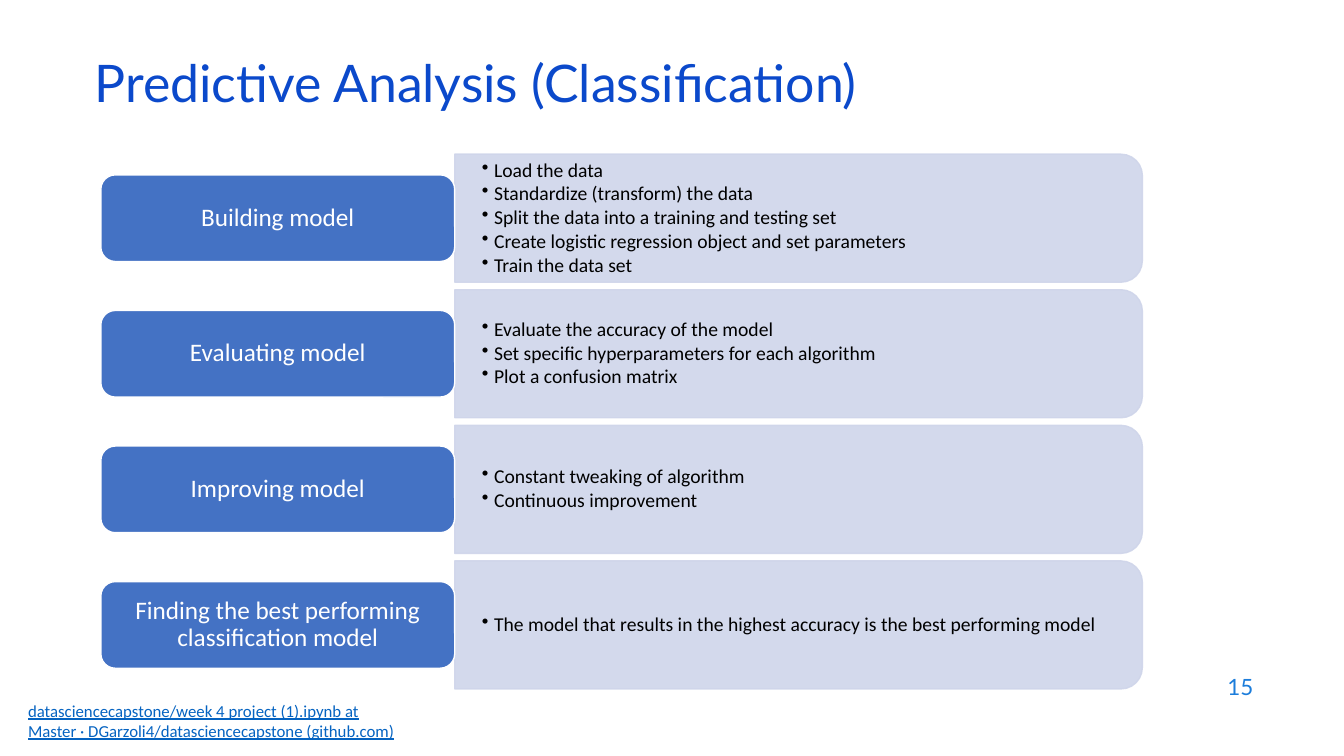
from lxml.etree import SubElement
from pptx import Presentation
from pptx.dml.color import RGBColor
from pptx.enum.shapes import MSO_SHAPE as Shape
from pptx.enum.text import MSO_ANCHOR as Anchor, MSO_AUTO_SIZE as AutoSize, PP_ALIGN as Align
from pptx.oxml.ns import qn
from pptx.util import Inches, Pt

TITLE = "Predictive Analysis (Classification)"
STAGES = [
    ("Building model", [
        "Load the data",
        "Standardize (transform) the data",
        "Split the data into a training and testing set",
        "Create logistic regression object and set parameters",
        "Train the data set",
    ]),
    ("Evaluating model", [
        "Evaluate the accuracy of the model",
        "Set specific hyperparameters for each algorithm",
        "Plot a confusion matrix",
    ]),
    ("Improving model", [
        "Constant tweaking of algorithm",
        "Continuous improvement",
    ]),
    ("Finding the best performing classification model", [
        "The model that results in the highest accuracy is the best performing model",
    ]),
]
SOURCE = ("datasciencecapstone/week 4 project (1).ipynb at Master · "
          "DGarzoli4/datasciencecapstone (github.com)")
PAGE = "15"

BLUE, PALE, WHITE, BLACK = "4472C4", "CFD5EA", "FFFFFF", "000000"
TITLE_BLUE, PAGE_BLUE, LINK_BLUE = "0B49CB", "1C7DDB", "0563C1"

LEFT, TOP = 1.0, 1.53
LABEL_W, LABEL_H = 3.51, 0.86
PANEL_W, PANEL_H = 6.82, 1.27
ROW_PITCH = 1.345
PANEL_LEFT = LEFT + LABEL_W
BULLET_INDENT = 0.12


def color(hex_code):
    return RGBColor.from_string(hex_code)


def place(shape, left, top, width, height):
    shape.left, shape.top, shape.width, shape.height = map(Inches, (left, top, width, height))


def set_frame(frame, anchor, inset_x=0.1, inset_y=0.05):
    frame.word_wrap = True
    frame.auto_size = AutoSize.NONE
    frame.vertical_anchor = anchor
    frame.margin_left = frame.margin_right = Inches(inset_x)
    frame.margin_top = frame.margin_bottom = Inches(inset_y)


def style(paragraph, size, font_name, hex_code, align=Align.LEFT, spacing=1.0):
    paragraph.alignment = align
    paragraph.line_spacing = spacing
    font = paragraph.font
    font.size, font.name = Pt(size), font_name
    font.color.rgb = color(hex_code)


def add_bullet(paragraph):
    props = paragraph._p.get_or_add_pPr()
    props.set("marL", str(Inches(BULLET_INDENT)))
    props.set("indent", str(-Inches(BULLET_INDENT)))
    SubElement(props, qn("a:buChar"), char="•")


def add_filled(slide, preset, box, fill, line):
    shape = slide.shapes.add_shape(preset, *map(Inches, box))
    shape.shadow.inherit = False
    shape.fill.solid()
    shape.fill.fore_color.rgb = color(fill)
    shape.line.color.rgb = color(line)
    shape.line.width = Pt(1)
    return shape


def add_text(slide, box, anchor, **insets):
    frame = slide.shapes.add_textbox(*map(Inches, box)).text_frame
    set_frame(frame, anchor, **insets)
    return frame


def add_panel(slide, top, steps):
    # Turned a quarter so that the two rounded corners face right.
    shift = (PANEL_W - PANEL_H) / 2
    panel = add_filled(slide, Shape.ROUND_2_SAME_RECTANGLE,
                       (PANEL_LEFT + shift, top - shift, PANEL_H, PANEL_W), PALE, PALE)
    panel.rotation = 90
    for tint in panel._element.spPr.iter(qn("a:srgbClr")):
        SubElement(tint, qn("a:alpha"), val="90000")

    frame = add_text(slide, (PANEL_LEFT, top, PANEL_W, PANEL_H),
                     Anchor.MIDDLE, inset_x=0.27, inset_y=0.14)
    frame.text = "\n".join(steps)
    for step in frame.paragraphs:
        add_bullet(step)
        style(step, 14, "Calibri", BLACK, spacing=0.9)
        step.space_after = Pt(1.8)


def add_label(slide, top, stage):
    label = add_filled(slide, Shape.ROUNDED_RECTANGLE,
                       (LEFT, top + (PANEL_H - LABEL_H) / 2, LABEL_W, LABEL_H), BLUE, WHITE)
    frame = label.text_frame
    set_frame(frame, Anchor.MIDDLE, 0.08, 0.04)
    frame.text = stage
    style(frame.paragraphs[0], 18, "Calibri", WHITE, Align.CENTER, 0.9)


def main():
    deck = Presentation()
    deck.slide_width, deck.slide_height = Inches(13.33), Inches(7.5)
    slide = deck.slides.add_slide(deck.slide_layouts[5])

    title = slide.shapes.title
    place(title, 0.84, 0.59, 11.5, 0.6)
    set_frame(title.text_frame, Anchor.MIDDLE)
    title.text_frame.text = TITLE
    style(title.text_frame.paragraphs[0], 37, "Lato", TITLE_BLUE, spacing=0.7)

    for row, (stage, steps) in enumerate(STAGES):
        top = TOP + row * ROW_PITCH
        add_panel(slide, top, steps)
        add_label(slide, top, stage)

    page = add_text(slide, (9.53, 6.59, 3, 0.44), Anchor.MIDDLE)
    page.text = PAGE
    style(page.paragraphs[0], 16, "Lato", PAGE_BLUE, Align.RIGHT)

    source = add_text(slide, (0.18, 6.9, 3.9, 0.5), Anchor.TOP)
    source.text = SOURCE
    style(source.paragraphs[0], 12, "Calibri", LINK_BLUE)
    source.paragraphs[0].font.underline = True

    deck.save("out.pptx")


if __name__ == "__main__":
    main()
